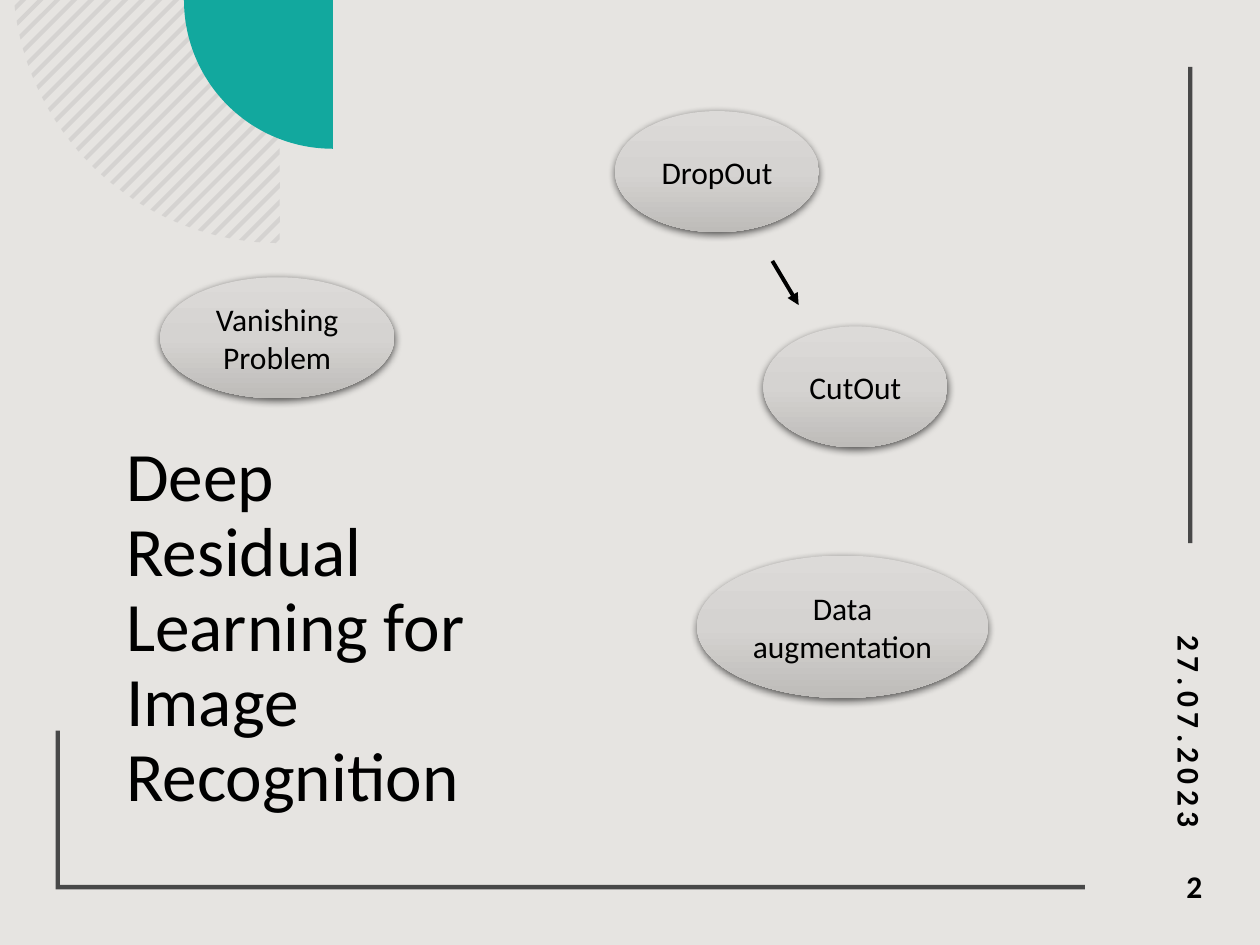
from math import cos, pi, sin, sqrt

from lxml.etree import SubElement
from pptx import Presentation
from pptx.dml.color import RGBColor
from pptx.enum.shapes import MSO_CONNECTOR, MSO_SHAPE
from pptx.enum.text import MSO_ANCHOR as Anchor, MSO_AUTO_SIZE as AutoSize, PP_ALIGN as Align
from pptx.oxml import parse_xml
from pptx.oxml.ns import nsdecls, qn
from pptx.util import Cm, Pt

FONT = "Calibri"
BLACK = RGBColor(0, 0, 0)
PAPER = RGBColor(0xE6, 0xE4, 0xE1)
STRIPE = RGBColor(0xD5, 0xD3, 0xD1)
TEAL = RGBColor(0x12, 0xA8, 0x9E)
RULE = RGBColor(0x48, 0x48, 0x48)
BUBBLE_STOPS = [(0, RGBColor(0xDC, 0xDA, 0xD8)), (50, STRIPE),
                (100, RGBColor(0xBE, 0xBC, 0xB9))]

# All places are in centimetres: left, top, width, height
TITLE = "Deep Residual Learning for Image Recognition"
TITLE_BOX = (2.29, 10.19, 8.2, 4.98)
FOOTERS = [("27.07.2023", (21.13, 13.56, 5.72, 1.02), 90),
           ("2", (22.05, 17.35, 2.44, 1.02), 0)]
BUBBLES = [
    (["DropOut"], (12.4, 2.24, 4.11, 2.44)),
    (["CutOut"], (15.39, 6.58, 3.71, 2.44)),
    (["Data augmentation"], (14.05, 11.2, 5.87, 2.87)),
    (["Vanishing", "Problem"], (3.23, 5.59, 4.72, 2.44)),
]
ARROW = (15.57, 5.26, 16.1, 6.15)
RULE_BOX = (23.95, 1.35, 0.09, 9.6)
BRACKET = [(1.12, 14.73), (1.21, 14.73), (1.21, 17.84),
           (21.87, 17.84), (21.87, 17.93), (1.12, 17.93)]
TEAL_X, TEAL_R = 6.71, 3.0
FAN_X, FAN_Y, FAN_R = 5.64, -0.48, 5.38
FIRST, LAST, STRIPES, STRIPE_W = 0.41, 10.34, 30, 0.12


def set_values(obj, values):
    """Set attributes of an object from a dict."""
    for name, value in values.items():
        setattr(obj, name, value)


def write(sp, lines, align, size=18, bold=False, spacing=0, para=None, **frame):
    """Write one formatted paragraph per line of text."""
    tf = sp.text_frame
    set_values(tf, {"word_wrap": True, "auto_size": AutoSize.NONE, **frame})
    for i, line in enumerate(lines):
        p = tf.add_paragraph() if i else tf.paragraphs[0]
        set_values(p, {"alignment": align, **(para or {})})
        r = p.add_run()
        r.text = line
        set_values(r.font, {"name": FONT, "size": Pt(size), "bold": bold})
        r.font.color.rgb = BLACK
        if spacing:
            r.font._element.set("spc", str(spacing * 100))


def paint(sp, color):
    """Give a shape a flat fill without line or shadow."""
    sp.shadow.inherit = False
    sp.fill.solid()
    sp.fill.fore_color.rgb = color
    sp.line.fill.background()


def polygon(s, points, color):
    """Draw a closed outline through points."""
    pts = [(Cm(x), Cm(y)) for x, y in points]
    builder = s.shapes.build_freeform(*pts[0])
    builder.add_line_segments(pts[1:], close=True)
    paint(builder.convert_to_shape(), color)


def stripe_edge(c):
    """Return both ends of the diagonal x + y = c inside the fan."""
    d = c - FAN_X - FAN_Y
    root = sqrt(2 * FAN_R ** 2 - d ** 2)
    rim = (FAN_X - (root - d) / 2, FAN_Y + (root + d) / 2)
    x = min(c, FAN_X)
    return [rim, (x, c - x)]


def add_bubble(s, lines, box):
    """Add a shaded ellipse with a soft shadow and centred text."""
    sp = s.shapes.add_shape(MSO_SHAPE.OVAL, *map(Cm, box))
    paint(sp, STRIPE)
    sp_pr = sp._element.spPr
    stops = "".join(f'<a:gs pos="{pos * 1000}"><a:srgbClr val="{color}"/></a:gs>'
                    for pos, color in BUBBLE_STOPS)
    grad = parse_xml(f'<a:gradFill {nsdecls("a")} rotWithShape="1"><a:gsLst>{stops}</a:gsLst>'
                     '<a:lin ang="5400000" scaled="0"/></a:gradFill>')
    sp_pr.replace(sp_pr.find(qn("a:solidFill")), grad)
    shadow = SubElement(sp_pr.find(qn("a:effectLst")), qn("a:outerShdw"),
                        blurRad=str(Pt(4.5)), dist=str(Pt(1.5)), dir="5400000",
                        algn="ctr", rotWithShape="0")
    black = SubElement(shadow, qn("a:srgbClr"), val=str(BLACK))
    SubElement(black, qn("a:alpha"), val="63000")
    write(sp, lines, Align.CENTER, vertical_anchor=Anchor.MIDDLE)


def add_arrow(s, ends):
    """Add a straight arrow."""
    line = s.shapes.add_connector(MSO_CONNECTOR.STRAIGHT, *map(Cm, ends))
    line.line.color.rgb = BLACK
    line.line.width = Pt(2.25)
    SubElement(line.line._get_or_add_ln(), qn("a:tailEnd"), type="triangle")
    SubElement(line._element.spPr, qn("a:effectLst"))


prs = Presentation()
set_values(prs, {"slide_width": Cm(25.4), "slide_height": Cm(19.05)})
s = prs.slides.add_slide(prs.slide_layouts[5])
s.background.fill.solid()
s.background.fill.fore_color.rgb = PAPER

for i in range(STRIPES):
    start = FIRST + i * (LAST - FIRST) / (STRIPES - 1)
    polygon(s, stripe_edge(start) + stripe_edge(start + STRIPE_W)[::-1], STRIPE)

arc = [pi / 2 * (1 + i / 60) for i in range(61)]
polygon(s, [(TEAL_X, 0)] + [(TEAL_X + TEAL_R * cos(a), TEAL_R * sin(a)) for a in arc], TEAL)
polygon(s, BRACKET, RULE)
paint(s.shapes.add_shape(MSO_SHAPE.RECTANGLE, *map(Cm, RULE_BOX)), RULE)

title = s.shapes.title
set_values(title, dict(zip(("left", "top", "width", "height"), map(Cm, TITLE_BOX))))
write(title, [TITLE], Align.LEFT, 39.6, para={"line_spacing": 0.9},
      vertical_anchor=Anchor.MIDDLE)

for text, box, turn in FOOTERS:
    sp = s.shapes.add_textbox(*map(Cm, box))
    sp.rotation = turn
    write(sp, [text], Align.RIGHT, bold=True, spacing=3)

for lines, box in BUBBLES:
    add_bubble(s, lines, box)
add_arrow(s, ARROW)

prs.save("out.pptx")
